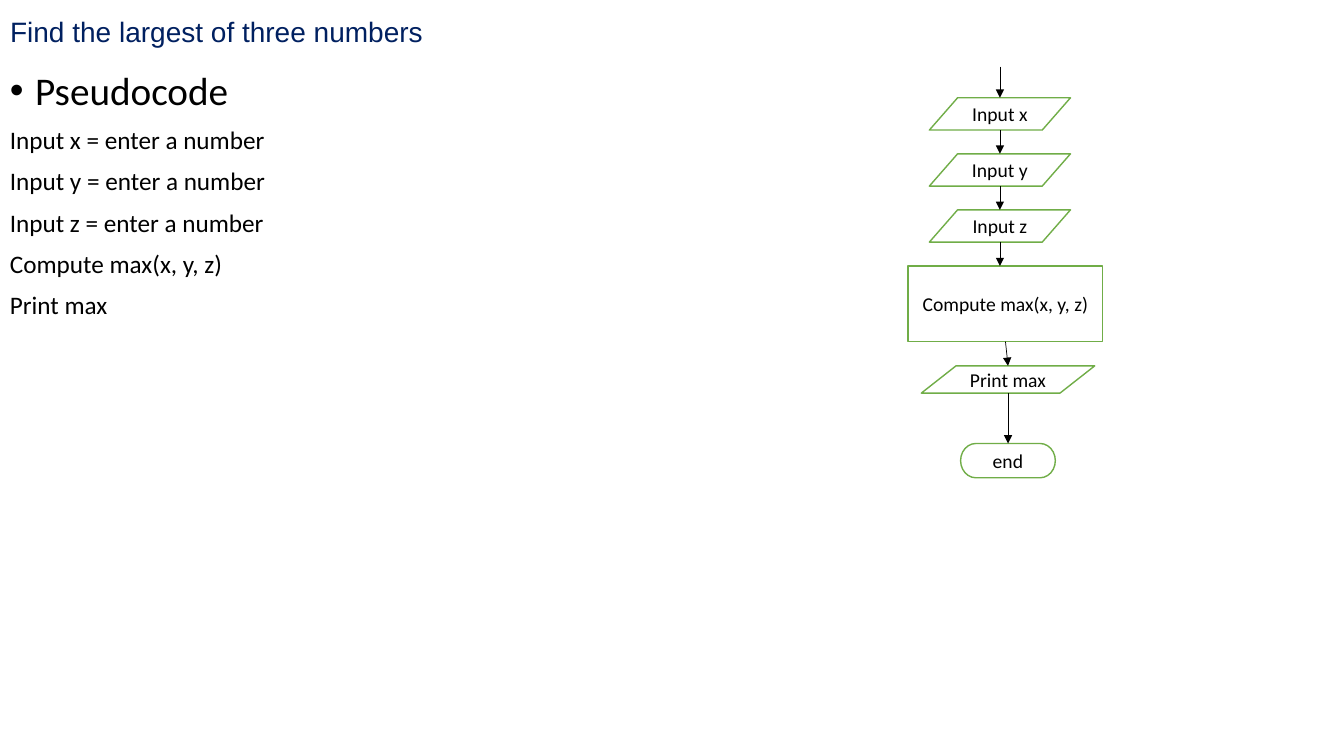
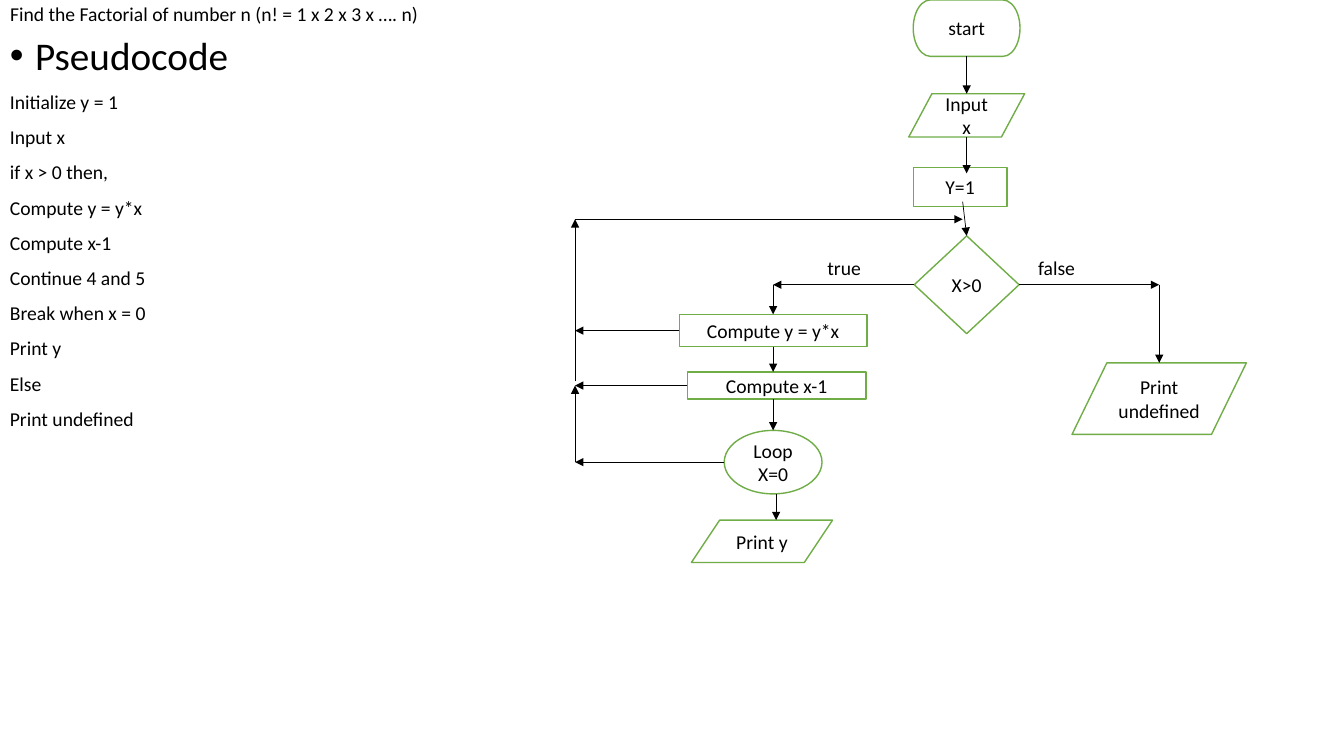
from dataclasses import dataclass

from lxml.etree import SubElement
from pptx import Presentation
from pptx.dml.color import RGBColor
from pptx.enum.shapes import MSO_CONNECTOR, MSO_SHAPE
from pptx.enum.text import MSO_ANCHOR, MSO_AUTO_SIZE, PP_ALIGN
from pptx.oxml.ns import qn
from pptx.util import Inches, Pt

# Grid: square cells of a tenth of an inch
COLUMNS, ROWS = 133.33, 75
TITLE_ONLY = 5

INPUT_OUTPUT = MSO_SHAPE.FLOWCHART_DATA
PROCESS = MSO_SHAPE.FLOWCHART_PROCESS
DECISION = MSO_SHAPE.FLOWCHART_DECISION
TERMINATOR = MSO_SHAPE.FLOWCHART_TERMINATOR
LOOP = MSO_SHAPE.OVAL


def cells(count):
    return Inches(count / 10)


@dataclass(frozen=True)
class Theme:
    ink: RGBColor = RGBColor(0, 0, 0)
    navy: RGBColor = RGBColor(0x00, 0x20, 0x60)
    green: RGBColor = RGBColor(0x70, 0xAD, 0x47)
    paper: RGBColor = RGBColor(0xFF, 0xFF, 0xFF)
    body_font: str = "Calibri"
    title_font: str = "Arial"
    heading_size: int = 28
    title_size: int = 20
    code_size: int = 18
    small_size: int = 14
    outline: float = 1
    arrow_line: float = 0.5
    line_spacing: float = 0.9
    space_before: int = 10


@dataclass(frozen=True)
class Node:
    center: float
    top: float
    width: float
    height: float

    @property
    def left(self):
        return self.center - self.width / 2

    @property
    def right(self):
        return self.center + self.width / 2

    @property
    def middle(self):
        return self.top + self.height / 2

    @property
    def bottom(self):
        return self.top + self.height


class Deck:
    def __init__(self, theme):
        self.theme = theme
        self.presentation = Presentation()
        self.presentation.slide_width = cells(COLUMNS)
        self.presentation.slide_height = cells(ROWS)
        self.slide = None

    def format_runs(self, paragraph, size, color=None, font=None):
        for run in paragraph.runs:
            run.font.size = Pt(size)
            run.font.name = font or self.theme.body_font
            run.font.color.rgb = color or self.theme.ink

    def add_slide(self, title, width, height, size, color, font, anchor):
        layout = self.presentation.slide_layouts[TITLE_ONLY]
        self.slide = self.presentation.slides.add_slide(layout)
        shape = self.slide.shapes.title
        shape.left, shape.top = 0, 0
        shape.width, shape.height = cells(width), cells(height)
        frame = shape.text_frame
        frame.text = title
        frame.auto_size = MSO_AUTO_SIZE.NONE
        frame.vertical_anchor = anchor
        paragraph = frame.paragraphs[0]
        paragraph.alignment = PP_ALIGN.LEFT
        paragraph.line_spacing = self.theme.line_spacing
        self.format_runs(paragraph, size, color, font)

    def text_box(self, left, top, width, height, text):
        box = self.slide.shapes.add_textbox(
            cells(left), cells(top), cells(width), cells(height))
        box.text_frame.word_wrap = True
        box.text_frame.text = text
        return box.text_frame

    def pseudocode(self, top, width, size, lines):
        frame = self.text_box(0, top, width, ROWS - top, "\n".join(["Pseudocode", *lines]))
        for paragraph in frame.paragraphs:
            paragraph.line_spacing = self.theme.line_spacing
            paragraph.space_before = Pt(self.theme.space_before)
            self.format_runs(paragraph, size)
        heading = frame.paragraphs[0]
        self.format_runs(heading, self.theme.heading_size)
        properties = heading._p.get_or_add_pPr()
        properties.set("marL", str(cells(2.5)))
        properties.set("indent", str(-cells(2.5)))
        SubElement(properties, qn("a:buFont")).set("typeface", self.theme.title_font)
        SubElement(properties, qn("a:buChar")).set("char", "•")

    def label(self, left, top, width, text):
        frame = self.text_box(left, top, width, 3.4, text)
        self.format_runs(frame.paragraphs[0], self.theme.small_size)

    def node(self, kind, text, center, top, width, height):
        node = Node(center, top, width, height)
        shape = self.slide.shapes.add_shape(
            kind, cells(node.left), cells(top), cells(width), cells(height))
        shape.shadow.inherit = False
        shape.fill.solid()
        shape.fill.fore_color.rgb = self.theme.paper
        shape.line.color.rgb = self.theme.green
        shape.line.width = Pt(self.theme.outline)
        frame = shape.text_frame
        frame.word_wrap = True
        frame.vertical_anchor = MSO_ANCHOR.MIDDLE
        frame.text = text
        for paragraph in frame.paragraphs:
            paragraph.alignment = PP_ALIGN.CENTER
            self.format_runs(paragraph, self.theme.small_size)
        return node

    def arrow(self, start, end):
        points = [cells(value) for value in (*start, *end)]
        connector = self.slide.shapes.add_connector(MSO_CONNECTOR.STRAIGHT, *points)
        connector.line.color.rgb = self.theme.ink
        connector.line.width = Pt(self.theme.arrow_line)
        line = connector.line._get_or_add_ln()
        SubElement(line, qn("a:tailEnd")).set("type", "triangle")
        SubElement(connector._element.spPr, qn("a:effectLst"))

    def arrow_down(self, column, upper, lower):
        self.arrow((column, upper.bottom), (column, lower.top))


def largest_number_slide(deck):
    theme = deck.theme
    deck.add_slide("Find the largest of three numbers", 62.7, 6.6, theme.title_size,
                   theme.navy, theme.title_font, MSO_ANCHOR.MIDDLE)
    names = ("x", "y", "z")
    deck.pseudocode(6.6, 67.5, theme.code_size, [
        *(f"Input {name} = enter a number" for name in names),
        "Compute max(x, y, z)", "Print max"])

    # Flowchart nodes
    spine, tail = 99.2, 100
    inputs = [deck.node(INPUT_OUTPUT, f"Input {name}", spine, 9.7 + 5.56 * row, 14, 3.2)
              for row, name in enumerate(names)]
    compute = deck.node(PROCESS, "Compute max(x, y, z)", 99.75, 26.4, 19.3, 7.5)
    output = deck.node(INPUT_OUTPUT, "Print max", tail, 36.3, 17.2, 2.7)
    end = deck.node(TERMINATOR, "end", tail, 44, 9.4, 3.4)

    # Arrows
    deck.arrow((spine, 6.6), (spine, inputs[0].top))
    steps = [*inputs, compute]
    for upper, lower in zip(steps, steps[1:]):
        deck.arrow_down(spine, upper, lower)
    deck.arrow((compute.center, compute.bottom), (tail, output.top))
    deck.arrow_down(tail, output, end)


def factorial_slide(deck):
    theme = deck.theme
    deck.add_slide("Find the Factorial of number n (n! = 1 x 2 x 3 x …. n)", 48.2, 5.6,
                   theme.small_size, theme.ink, theme.body_font, MSO_ANCHOR.TOP)
    deck.pseudocode(3.1, 58.4, theme.small_size, [
        "Initialize y = 1", "Input x", "if x > 0 then,", "Compute y = y*x",
        "Compute x-1", "Continue 4 and 5", "Break when x = 0", "Print y",
        "Else", "Print undefined"])

    # Main column
    spine, true_column, false_column, return_column = 95.9, 76.7, 115, 57.05
    start = deck.node(TERMINATOR, "start", spine, 0, 10.6, 5.6)
    read = deck.node(INPUT_OUTPUT, "Input x", spine, 9.3, 11.5, 4.3)
    initialize = deck.node(PROCESS, "Y=1", 95.25, 16.6, 9.3, 3.9)
    check = deck.node(DECISION, "X>0", spine, 23.4, 10.4, 9.7)
    deck.arrow_down(spine, start, read)
    deck.arrow((spine, read.bottom), (spine, 17.2))
    deck.arrow((95.5, 20), (spine, check.top))

    # True and false branches
    multiply = deck.node(PROCESS, "Compute y = y*x", true_column, 31.2, 18.6, 3.2)
    decrement = deck.node(PROCESS, "Compute x-1", 77.05, 36.9, 17.7, 2.7)
    loop = deck.node(LOOP, "Loop\nX=0", true_column, 42.7, 9.7, 6.3)
    result = deck.node(INPUT_OUTPUT, "Print y", 75.6, 51.6, 14, 4.2)
    undefined = deck.node(INPUT_OUTPUT, "Print undefined", false_column, 36, 17.3, 7.1)
    branches = ((check.left, true_column, multiply), (check.right, false_column, undefined))
    for side, column, target in branches:
        deck.arrow((side, check.middle), (column, check.middle))
        deck.arrow((column, check.middle), (column, target.top))
    deck.label(81.1, 24.9, 11.9, "true")
    deck.label(102, 24.9, 12.7, "false")
    deck.arrow_down(true_column, multiply, decrement)
    deck.arrow_down(true_column, decrement, loop)
    deck.arrow_down(77, loop, result)

    # Return path to the decision
    for step in (multiply, decrement, loop):
        deck.arrow((step.left, step.middle), (return_column, step.middle))
    return_row = 21.75
    deck.arrow((return_column, loop.middle), (return_column, decrement.middle))
    deck.arrow((return_column, 37.8), (return_column, return_row))
    deck.arrow((return_column, return_row), (95.5, return_row))


deck = Deck(Theme())
largest_number_slide(deck)
factorial_slide(deck)
deck.presentation.save("out.pptx")
